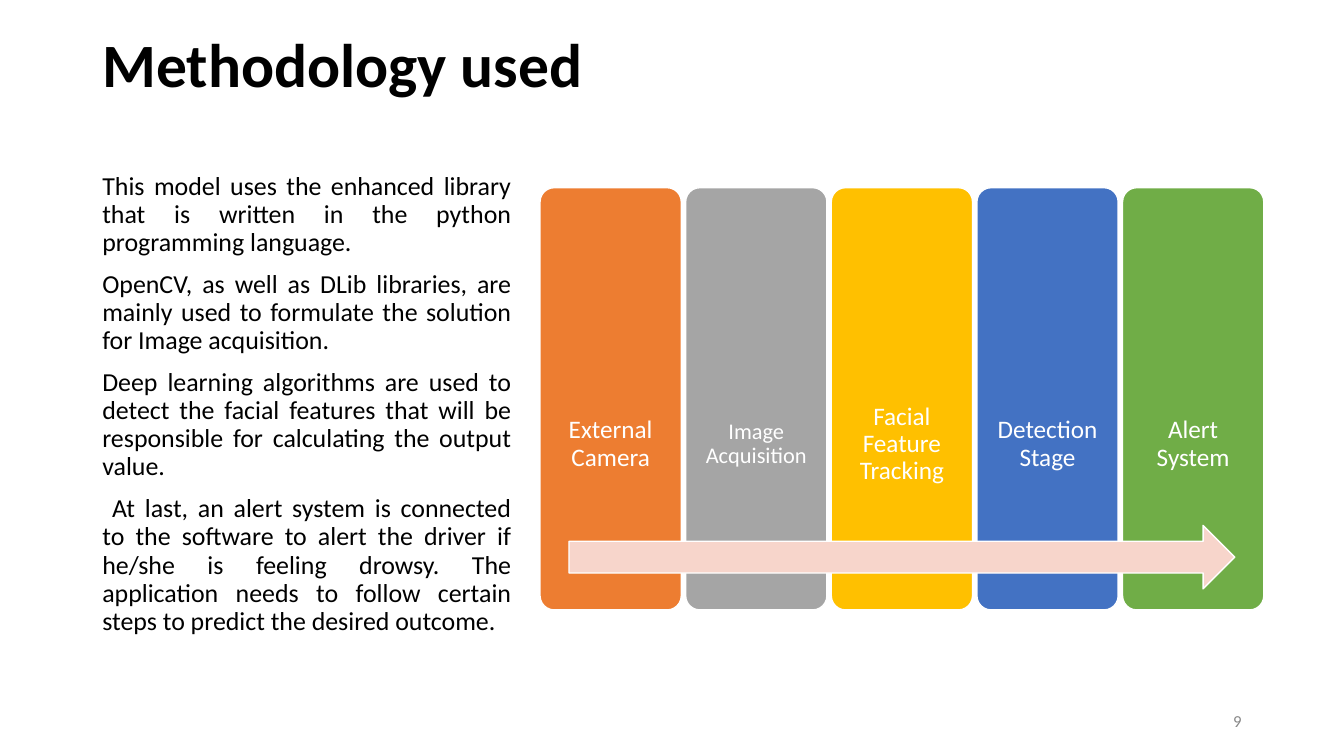
from dataclasses import dataclass

from pptx import Presentation
from pptx import util as u
from pptx.dml import color
from pptx.enum import shapes, text

FONT = "Calibri"
WHITE = "FFFFFF"
STAGE_LEFT, STAGE_TOP = 13.61, 4.73
STAGE_WIDTH, STAGE_HEIGHT, STAGE_PITCH = 3.56, 10.64, 3.67


@dataclass
class Stage:
    label: str
    fill: str
    size: float = 18


STAGES = [
    Stage("External Camera", "ED7D31"),
    Stage("Image Acquisition", "A5A5A5", 16),
    Stage("Facial Feature Tracking", "FFC000"),
    Stage("Detection Stage", "4372C3"),
    Stage("Alert System", "70AD47"),
]

METHOD = [
    "This model uses the enhanced library that is written in the python "
    "programming language.",
    "OpenCV, as well as DLib libraries, are mainly used to formulate the "
    "solution for Image acquisition.",
    "Deep learning algorithms are used to detect the facial features that "
    "will be responsible for calculating the output value.",
    " At last, an alert system is connected to the software to alert the "
    "driver if he/she is feeling drowsy. The application needs to follow "
    "certain steps to predict the desired outcome.",
]


def rgb(hex_code: str) -> color.RGBColor:
    return color.RGBColor.from_string(hex_code)


def write(shape, paragraphs: list[str], *, size: float, fill: str = "000000",
          bold: bool = False, align=text.PP_ALIGN.LEFT,
          anchor=text.MSO_ANCHOR.MIDDLE, line_spacing: float = 0.9,
          gap: float = 0, top: float = 0.13, bottom: float = 0.13) -> None:
    """Fill a shape with paragraphs; gap is in points, insets in cm."""
    frame = shape.text_frame
    frame.word_wrap = True
    frame.auto_size = text.MSO_AUTO_SIZE.NONE
    frame.vertical_anchor = anchor
    frame.margin_left = frame.margin_right = u.Cm(0.25)
    frame.margin_top, frame.margin_bottom = u.Cm(top), u.Cm(bottom)
    for index, content in enumerate(paragraphs):
        paragraph = frame.add_paragraph() if index else frame.paragraphs[0]
        paragraph.alignment = align
        paragraph.line_spacing = line_spacing
        paragraph.space_before = u.Pt(gap if index else 0)
        run = paragraph.add_run()
        run.text = content
        run.font.name = FONT
        run.font.size = u.Pt(size)
        run.font.bold = bold
        run.font.color.rgb = rgb(fill)


def add_text(slide, paragraphs: list[str], left: float, top: float,
             width: float, height: float, **text_format) -> None:
    box = slide.shapes.add_textbox(
        u.Cm(left), u.Cm(top), u.Cm(width), u.Cm(height))
    write(box, paragraphs, **text_format)


def add_block(slide, kind, left: float, top: float, width: float,
              height: float, fill: str):
    """Add a filled preset shape with a thin white outline."""
    block = slide.shapes.add_shape(
        kind, u.Cm(left), u.Cm(top), u.Cm(width), u.Cm(height))
    block.shadow.inherit = False
    block.fill.solid()
    block.fill.fore_color.rgb = rgb(fill)
    block.line.color.rgb = rgb(WHITE)
    block.line.width = u.Pt(1)
    return block


def add_stage(slide, stage: Stage, position: int) -> None:
    panel = add_block(slide, shapes.MSO_SHAPE.ROUNDED_RECTANGLE,
                      STAGE_LEFT + position * STAGE_PITCH, STAGE_TOP,
                      STAGE_WIDTH, STAGE_HEIGHT, stage.fill)
    panel.adjustments[0] = 0.1
    write(panel, [stage.label], size=stage.size, fill=WHITE,
          align=text.PP_ALIGN.CENTER, top=4.8, bottom=2.51)


def main() -> None:
    deck = Presentation()
    deck.slide_width, deck.slide_height = u.Cm(33.87), u.Cm(19.05)
    slide = deck.slides.add_slide(deck.slide_layouts[6])

    add_text(slide, ["Methodology used"], 2.33, 1.02, 29.21, 1.37,
             size=44, bold=True)
    add_text(slide, METHOD, 2.33, 4.24, 10.8, 12.32, size=18.5, gap=10,
             align=text.PP_ALIGN.JUSTIFY, anchor=text.MSO_ANCHOR.TOP)
    add_text(slide, ["9"], 23.92, 17.66, 7.62, 1.01, size=12, fill="888888",
             align=text.PP_ALIGN.RIGHT, line_spacing=1.0)

    for position, stage in enumerate(STAGES):
        add_stage(slide, stage, position)
    add_block(slide, shapes.MSO_SHAPE.RIGHT_ARROW,
              14.34, 13.24, 16.78, 1.6, "F7D5CB")

    deck.save("out.pptx")


if __name__ == "__main__":
    main()
